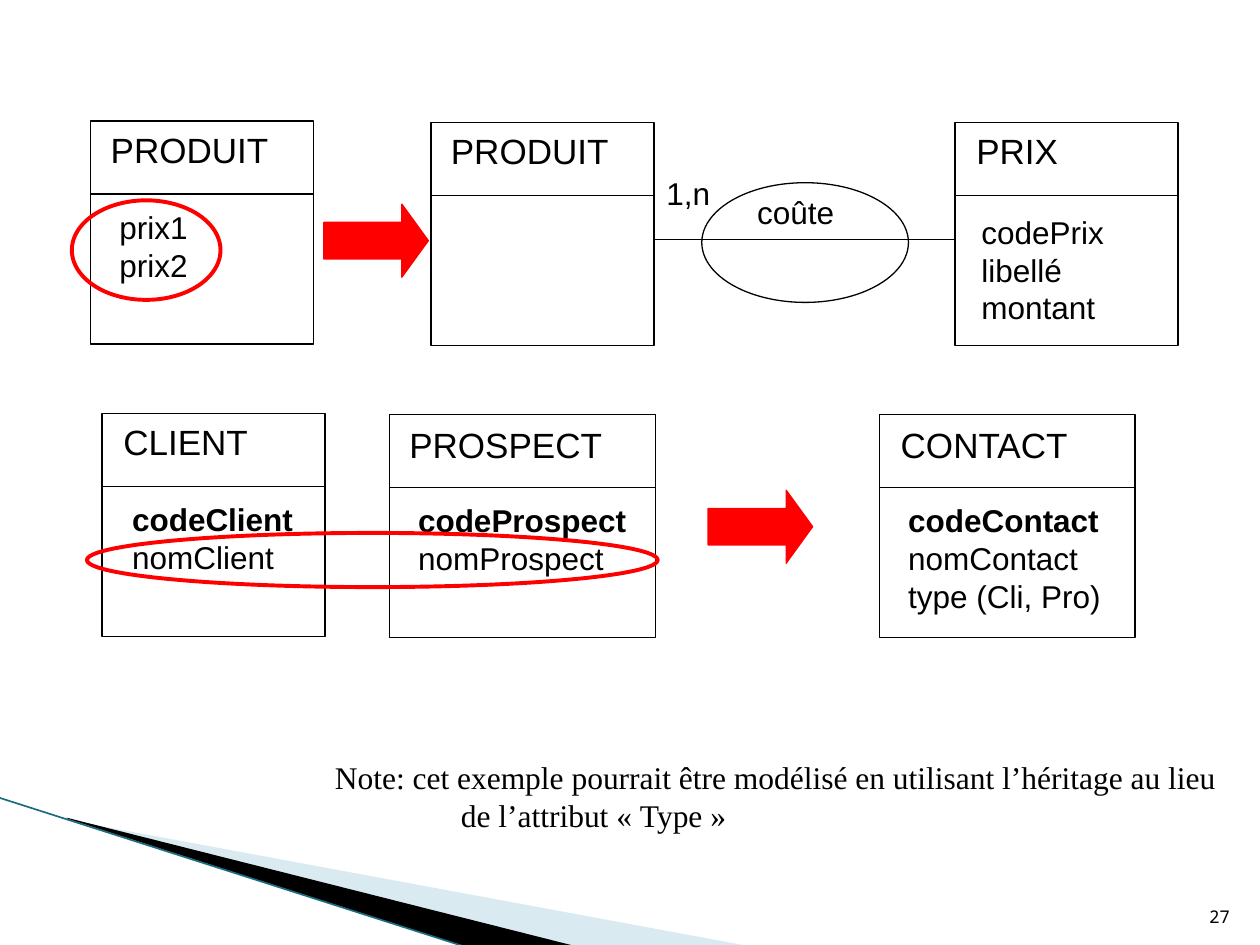
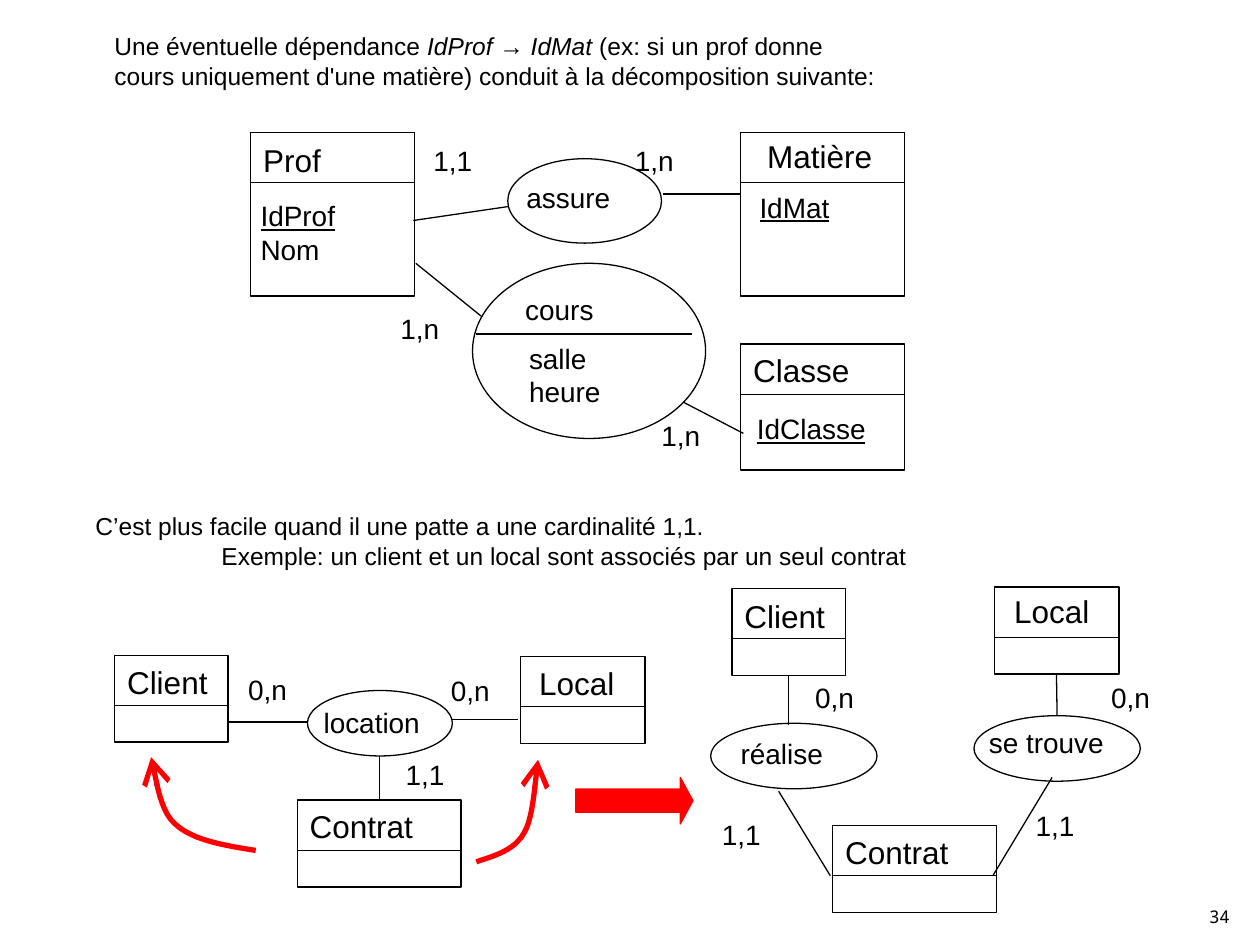
from lxml import etree
from pptx import Presentation
from pptx.dml.color import RGBColor
from pptx.enum.shapes import MSO_CONNECTOR, MSO_SHAPE
from pptx.enum.text import MSO_ANCHOR, PP_ALIGN
from pptx.oxml.ns import qn
from pptx.util import Inches, Pt

BLACK = RGBColor(0x00, 0x00, 0x00)
WHITE = RGBColor(0xFF, 0xFF, 0xFF)
RED = RGBColor(0xFF, 0x00, 0x00)
PALE_BLUE = RGBColor(0xA0, 0xCB, 0xDC)
TEAL = RGBColor(0x1A, 0x6D, 0x7F)

SANS, SERIF, MONO = "Arial", "Times New Roman", "Noto Sans Mono"
THIN, MEDIUM, THICK = 0.75, 2.25, 3

# Entities: key: (box, title, title width, title shift, attributes)
# Attributes: (lines, width, shift from the box), or None
# A line is plain text or (text, font attribute)
PRICE_ENTITIES = {
    "produit1": ((0.72, 0.96, 1.77, 1.77), "PRODUIT", 1.45, (0.06, 0.01),
                 (["prix1", "prix2"], 0.74, (0.13, 0.64))),
    "produit2": ((3.42, 0.97, 1.77, 1.77), "PRODUIT", 1.45, (0.06, 0.01), None),
    "prix": ((7.58, 0.97, 1.77, 1.77), "PRIX", 0.86, (0.07, 0.01),
             (["codePrix", "libellé", "montant"], 1.18, (0.11, 0.67))),
    "client": ((0.81, 3.28, 1.77, 1.77), "CLIENT", 1.19, (0.07, 0.01),
               ([("codeClient", "bold"), "nomClient"], 1.49, (0.14, 0.64))),
    "prospect": ((3.09, 3.29, 2.11, 1.77), "PROSPECT", 1.73, (0.06, 0.02),
                 ([("codeProspect", "bold"), "nomProspect"], 1.87, (0.13, 0.64))),
    "contact": ((6.98, 3.29, 2.03, 1.77), "CONTACT", 1.55, (0.07, 0.02),
                ([("codeContact", "bold"), "nomContact", "type (Cli, Pro)"],
                 1.73, (0.13, 0.64))),
}
PRICE_ARROWS = [(2.57, 1.62, 0.83, 0.58), (5.62, 3.89, 0.83, 0.58)]
HIGHLIGHTS = [(0.57, 1.59, 1.18, 0.79), (0.69, 4.23, 4.53, 0.43)]
NOTE = ["Note: cet exemple pourrait être modélisé en utilisant l’héritage au lieu",
        "de l’attribut «\u00a0Type\u00a0»"]

COURSE_ENTITIES = {
    "prof": ((1.99, 1.05, 1.3, 1.3), "Prof", 0.66, (0, 0.02),
             ([("IdProf", "underline"), "Nom"], 0.8, (-0.02, 0.48))),
    "matière": ((5.88, 1.05, 1.3, 1.3), "Matière", 1.04, (0.11, -0.01),
                ([("IdMat", "underline")], 0.76, (0.05, 0.41))),
    "classe": ((5.88, 2.73, 1.3, 1), "Classe", 1.2, (0, 0.01),
               ([("IdClasse", "underline")], 1.07, (0.03, 0.49))),
    "client1": ((0.91, 5.2, 0.9, 0.69), "Client", 0.85, (0, 0.01), None),
    "local1": ((4.13, 5.21, 0.99, 0.69), "Local", 0.81, (0.05, 0.01), None),
    "contrat1": ((2.36, 6.35, 1.3, 0.69), "Contrat", 1.03, (0, 0.01), None),
    "client2": ((5.81, 4.67, 0.9, 0.69), "Client", 0.85, (0, 0.02), None),
    "local2": ((7.89, 4.66, 0.99, 0.69), "Local", 0.81, (0.06, -0.01), None),
    "contrat2": ((6.61, 6.55, 1.3, 0.69), "Contrat", 1.03, (0, 0.01), None),
}
# Associations: (ellipse, name, name position and width)
PRICE_ASSOCIATIONS = {"coûte": ((5.57, 1.45, 1.64, 0.95), (5.91, 1.48, 0.81))}
COURSE_ASSOCIATIONS = {
    "assure": ((4.03, 1.26, 1.22, 0.67), (4.08, 1.38, 0.88)),
    "cours": ((3.75, 2.09, 1.85, 1.39), (4.07, 2.27, 0.75)),
    "location": ((2.44, 5.48, 1.15, 0.52), (2.47, 5.55, 0.97)),
    "réalise": ((5.64, 5.74, 1.32, 0.52), (5.78, 5.8, 0.86)),
    "se trouve": ((7.73, 5.68, 1.32, 0.52), (7.75, 5.71, 1.12)),
}
COURSE_LINKS = [
    (3.78, 2.65, 5.49, 2.65), (3.28, 1.75, 4.03, 1.64), (3.3, 2.09, 3.82, 2.51),
    (5.42, 3.19, 5.9, 3.44), (5.26, 1.54, 5.87, 1.54), (1.81, 5.73, 2.44, 5.73),
    (3.59, 5.71, 4.11, 5.71), (6.18, 6.28, 6.59, 6.95), (7.88, 6.95, 8.35, 6.17),
]
CARDINALITIES = {
    "1,1": [(3.34, 1.09), (3.12, 5.96), (5.63, 6.44), (8.12, 6.37)],
    "1,n": [(4.94, 1.09), (3.08, 2.42), (5.15, 3.27)],
    "0,n": [(1.87, 5.29), (3.48, 5.3), (6.37, 5.35), (8.72, 5.35)],
}
# Curved arrows: start point, then Bézier segments (two controls and an end)
CURVES = [
    ((2.03, 6.75), [((1.78, 6.71), (1.53, 6.67), (1.39, 6.54)),
                    ((1.25, 6.42), (1.23, 6.09), (1.2, 6.01))]),
    ((3.78, 6.84), [((3.93, 6.79), (4.08, 6.75), (4.16, 6.61)),
                    ((4.24, 6.48), (4.25, 6.13), (4.27, 6.03))]),
]
INTRO = [[("Une éventuelle dépendance\u00a0", False), ("IdProf → IdMat ", True),
          ("(ex: si un prof donne", False)],
         [("cours uniquement d'une matière) conduit à la décomposition suivante:", False)]]
EXAMPLE = ["C’est plus facile quand il une patte a une cardinalité 1,1.",
           "Exemple: un client et un local sont associés par un seul contrat"]


def add_text(s, x, y, w, lines, size, font=SANS, wrap=False):
    """Add a text box whose height follows from its lines."""
    h = len(lines) * size * 1.2 / 72 + 0.1
    tb = s.shapes.add_textbox(Inches(x), Inches(y), Inches(w), Inches(h))
    tf = tb.text_frame
    tf.word_wrap = wrap
    for i, line in enumerate(lines):
        p = tf.paragraphs[0] if i == 0 else tf.add_paragraph()
        p.font.size, p.font.name, p.font.color.rgb = Pt(size), font, BLACK
        if isinstance(line, list):
            for text, italic in line:
                r = p.add_run()
                r.text, r.font.italic = text, italic
        elif isinstance(line, tuple):
            p.text = line[0]
            setattr(p.font, line[1], True)
        else:
            p.text = line
    return tf


def indent_last(tf):
    tf.paragraphs[-1]._p.get_or_add_pPr().set("marL", str(Inches(1)))


def add_preset(s, kind, box, fill=None, line=BLACK, width=THIN):
    sp = s.shapes.add_shape(kind, *map(Inches, box))
    sp.shadow.inherit = False
    if fill is None:
        sp.fill.background()
    else:
        sp.fill.solid()
        sp.fill.fore_color.rgb = fill
    sp.line.color.rgb, sp.line.width = line, Pt(width)
    return sp


def add_line(s, x1, y1, x2, y2, color=BLACK, width=THIN):
    c = s.shapes.add_connector(MSO_CONNECTOR.STRAIGHT, *map(Inches, (x1, y1, x2, y2)))
    c.line.color.rgb, c.line.width = color, Pt(width)
    etree.SubElement(c._element.spPr, qn("a:effectLst"))
    return c


def add_arrow(s, box, head):
    arrow = add_preset(s, MSO_SHAPE.RIGHT_ARROW, box, RED, RED)
    arrow.adjustments[0] = 0.5
    arrow.adjustments[1] = head / box[3]


def add_outline(s, points, close=True):
    fb = s.shapes.build_freeform(*map(Inches, points[0]), scale=1.0)
    fb.add_line_segments([(Inches(x), Inches(y)) for x, y in points[1:]], close=close)
    sp = fb.convert_to_shape()
    sp.shadow.inherit = False
    return sp


def add_band(s, points, color, opacity=100):
    sp = add_outline(s, points)
    sp.fill.solid()
    sp.fill.fore_color.rgb = color
    sp.line.fill.background()
    if opacity < 100:
        clr = sp._element.spPr.find(qn("a:solidFill"))[0]
        etree.SubElement(clr, qn("a:alpha"), val=str(opacity * 1000))


def add_curved_arrow(s, start, segments, steps=12):
    points = [start]
    for c1, c2, end in segments:
        p0 = points[-1]
        for k in range(1, steps + 1):
            t = k / steps
            u = 1 - t
            points.append(tuple(u**3 * a + 3 * u * u * t * b + 3 * u * t * t * c + t**3 * d
                                for a, b, c, d in zip(p0, c1, c2, end)))
    sp = add_outline(s, points, close=False)
    sp.fill.background()
    sp.line.color.rgb, sp.line.width = RED, Pt(THICK)
    etree.SubElement(sp.line._get_or_add_ln(), qn("a:tailEnd"),
                     type="arrow", w="lg", len="lg")


def add_entities(s, entities, divider, title_size, size):
    """Draw the boxes with title, divider and attributes; return them by key."""
    boxes = {}
    for key, (box, title, title_w, (dx, dy), attributes) in entities.items():
        x, y, w, _ = box
        boxes[key] = add_preset(s, MSO_SHAPE.RECTANGLE, box, WHITE)
        add_line(s, x, y + divider, x + w, y + divider)
        add_text(s, x + dx, y + dy, title_w, [title], title_size)
        if attributes:
            lines, lines_w, (ax, ay) = attributes
            add_text(s, x + ax, y + ay, lines_w, lines, size)
    return boxes


def add_associations(s, associations, size):
    ovals = {}
    for name, (box, (x, y, w)) in associations.items():
        ovals[name] = add_preset(s, MSO_SHAPE.OVAL, box)
        add_text(s, x, y, w, [name], size)
    return ovals


def add_page_number(s, number):
    tf = add_text(s, 9.46, 7.01, 0.4, [str(number)], 10, MONO, wrap=True)
    s.shapes[-1].height = Inches(0.4)
    tf.vertical_anchor = MSO_ANCHOR.BOTTOM
    tf.paragraphs[0].alignment = PP_ALIGN.RIGHT


def build_price_slide(s):
    add_band(s, [(0.55, 6.51), (5.95, 7.51), (4.56, 7.51), (0.55, 6.5)], PALE_BLUE, 40)
    add_band(s, [(0.53, 6.49), (4.57, 7.51), (3.72, 7.52), (0.54, 6.5)], BLACK)
    add_line(s, -0.01, 6.33, 3.71, 7.52, TEAL, 0.95)
    add_entities(s, PRICE_ENTITIES, 0.58, 20, 18)
    add_associations(s, PRICE_ASSOCIATIONS, 18)
    add_line(s, 5.19, 1.9, 7.58, 1.9)
    add_text(s, 5.19, 1.33, 0.55, ["1,n"], 18)
    for box in PRICE_ARROWS:
        add_arrow(s, box, 0.21)
    for box in HIGHLIGHTS:
        add_preset(s, MSO_SHAPE.OVAL, box, line=RED, width=MEDIUM)
    add_page_number(s, 27)
    indent_last(add_text(s, 2.56, 5.97, 7.27, NOTE, 18, SERIF))


def build_course_slide(s):
    tf = add_text(s, 0.66, 4.01, 8.73, EXAMPLE, 14, wrap=True)
    for p in tf.paragraphs:
        p.alignment = PP_ALIGN.JUSTIFY
    indent_last(tf)
    boxes = add_entities(s, COURSE_ENTITIES, 0.4, 18, 16)
    ovals = add_associations(s, COURSE_ASSOCIATIONS, 16)
    add_text(s, 4.1, 2.66, 0.78, ["salle", "heure"], 16)
    for link in COURSE_LINKS:
        add_line(s, *link)
    add_line(s, 3.01, 6, 3.01, 6.35).end_connect(boxes["contrat1"], 0)
    add_line(s, 6.26, 5.36, 6.26, 5.75).begin_connect(boxes["client2"], 2)
    link = add_line(s, 8.39, 5.35, 8.39, 5.68)
    link.begin_connect(boxes["local2"], 2)
    link.end_connect(ovals["se trouve"], 0)
    for text, places in CARDINALITIES.items():
        for x, y in places:
            add_text(s, x, y, 0.51, [text], 16)
    add_arrow(s, (4.57, 6.17, 0.93, 0.37), 0.1)
    for start, segments in CURVES:
        add_curved_arrow(s, start, segments)
    add_page_number(s, 34)
    add_text(s, 0.81, 0.2, 6.26, INTRO, 14)


def main():
    prs = Presentation()
    prs.slide_width, prs.slide_height = Inches(10), Inches(7.5)
    for build in (build_price_slide, build_course_slide):
        build(prs.slides.add_slide(prs.slide_layouts[6]))
    prs.save("out.pptx")


if __name__ == "__main__":
    main()
